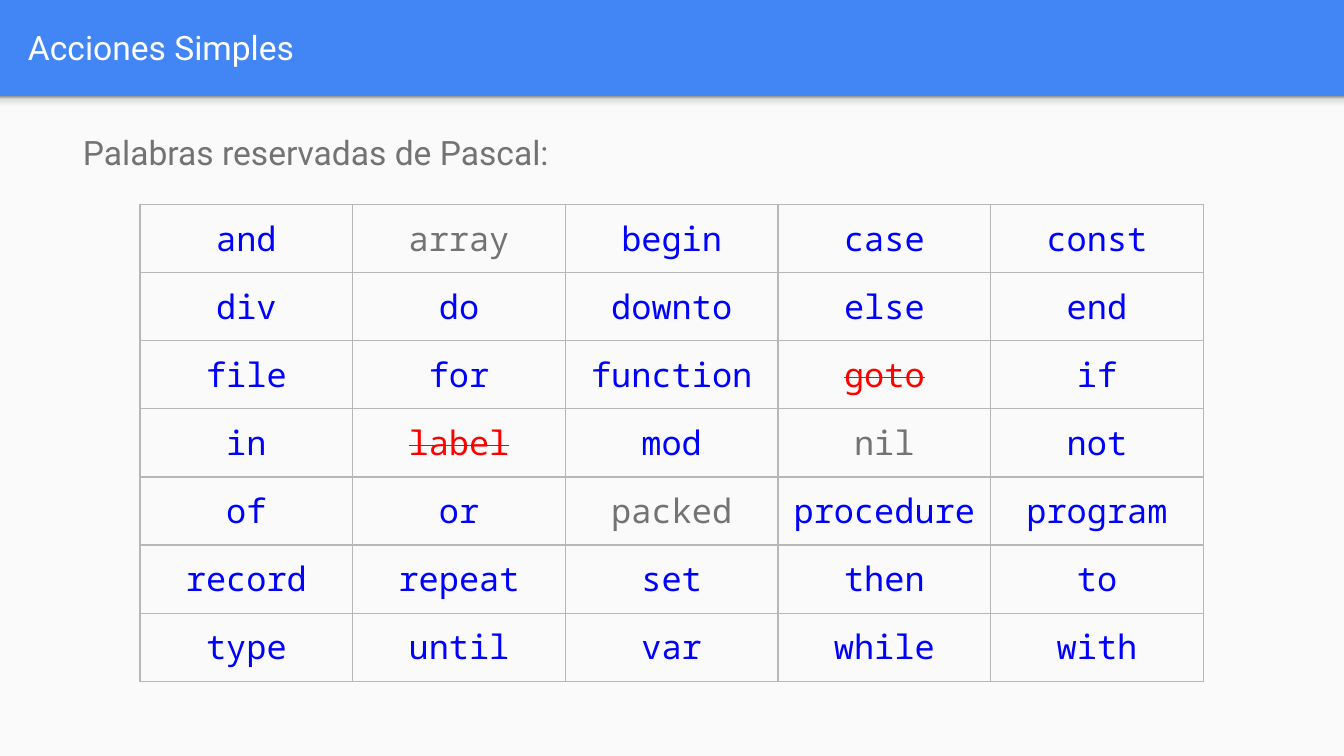
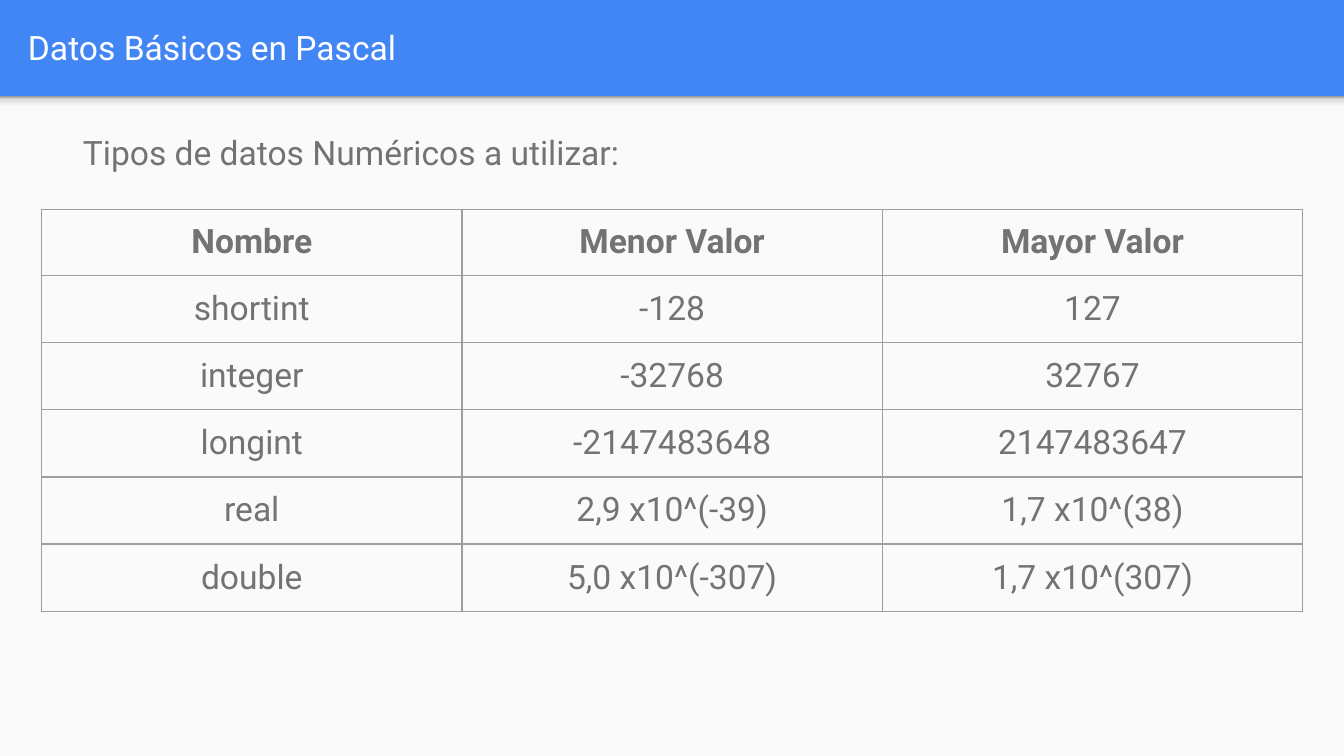
from lxml import etree
from pptx import Presentation
from pptx.dml.color import RGBColor
from pptx.enum.shapes import MSO_SHAPE
from pptx.enum.text import MSO_ANCHOR, PP_ALIGN
from pptx.oxml.ns import qn
from pptx.util import Pt

RECTANGLE = MSO_SHAPE.RECTANGLE
TOP, MIDDLE = MSO_ANCHOR.TOP, MSO_ANCHOR.MIDDLE
CENTER = PP_ALIGN.CENTER

COLORS = {
    "band": "4285F4",
    "paper": "FAFAFA",
    "title": "FFFFFF",
    "text": "737373",
    "keyword": "0000FF",
    "forbidden": "FF0000",
    "keyword_grid": "B7B7B7",
    "type_grid": "9E9E9E",
}
SHADOW_STOPS = [(0, "F9F9F9"), (36, "F9F9F9"), (80, "DEDEDE"), (100, "999999")]

SLIDE_WIDTH, SLIDE_HEIGHT = 720, 405
BAND_HEIGHT = 51.6
SHADOW_HEIGHT = 8.6
INSET = 7.2
TEXT_SIZE = 18
SANS, MONO = "Roboto", "Noto Sans Mono"

KEYWORDS = [
    ["and", "array", "begin", "case", "const"],
    ["div", "do", "downto", "else", "end"],
    ["file", "for", "function", "goto", "if"],
    ["in", "label", "mod", "nil", "not"],
    ["of", "or", "packed", "procedure", "program"],
    ["record", "repeat", "set", "then", "to"],
    ["type", "until", "var", "while", "with"],
]
UNUSED = {"array", "nil", "packed"}
FORBIDDEN = {"goto", "label"}

NUMERIC_TYPES = [
    ["Nombre", "Menor Valor", "Mayor Valor"],
    ["shortint", "-128", "127"],
    ["integer", "-32768", "32767"],
    ["longint", "-2147483648", "2147483647"],
    ["real", "2,9 x10^(-39)", "1,7 x10^(38)"],
    ["double", "5,0 x10^(-307)", "1,7 x10^(307)"],
]


def rgb(name):
    return RGBColor.from_string(COLORS[name])


def add_span(para, text, color, font=SANS, bold=False, strike=False):
    span = para.add_run()
    span.text = text
    span.font.name = font
    span.font.size = Pt(TEXT_SIZE)
    span.font.bold = bold
    span.font.color.rgb = rgb(color)
    if strike:
        span._r.get_or_add_rPr().set("strike", "sngStrike")


def add_text(page, text, left, top, width, height, color, anchor=TOP, line_spacing=None):
    box = page.shapes.add_textbox(Pt(left), Pt(top), Pt(width), Pt(height))
    frame = box.text_frame
    frame.word_wrap = True
    frame.vertical_anchor = anchor
    frame.margin_left = frame.margin_right = Pt(INSET)
    frame.margin_top = frame.margin_bottom = Pt(INSET)
    para = frame.paragraphs[0]
    if line_spacing:
        para.line_spacing = line_spacing
    add_span(para, text, color)


def add_plain_rectangle(page, top, height):
    shape = page.shapes.add_shape(RECTANGLE, 0, Pt(top), Pt(SLIDE_WIDTH), Pt(height))
    shape.shadow.inherit = False
    shape.line.fill.background()
    return shape


def fill_with_gradient(shape, stops):
    """Blend the stops from the bottom edge to the top edge."""
    shape.fill.gradient()
    shape.fill.gradient_angle = 90
    stop_list = shape._element.spPr.find(".//" + qn("a:gsLst"))
    for stop in list(stop_list):
        stop_list.remove(stop)
    for percent, color in stops:
        stop = etree.SubElement(stop_list, qn("a:gs"), pos=str(percent * 1000))
        etree.SubElement(stop, qn("a:srgbClr"), val=color)


def add_page(deck, title):
    page = deck.slides.add_slide(deck.slide_layouts[6])
    page.background.fill.solid()
    page.background.fill.fore_color.rgb = rgb("band")
    paper = add_plain_rectangle(page, BAND_HEIGHT, SLIDE_HEIGHT - BAND_HEIGHT)
    paper.fill.solid()
    paper.fill.fore_color.rgb = rgb("paper")
    fill_with_gradient(add_plain_rectangle(page, BAND_HEIGHT, SHADOW_HEIGHT), SHADOW_STOPS)
    add_text(page, title, 7.9, 1.6, 694.8, 47.3, "title", anchor=MIDDLE)
    return page


def add_intro(page, text, height):
    add_text(page, text, 37.3, 60.3, 647.3, height, "text", line_spacing=1.15)


def draw_borders(cell, color):
    properties = cell._tc.get_or_add_tcPr()
    for position, side in enumerate(("a:lnL", "a:lnR", "a:lnT", "a:lnB")):
        line = etree.Element(qn(side), w=str(Pt(0.75)))
        fill = etree.SubElement(line, qn("a:solidFill"))
        etree.SubElement(fill, qn("a:srgbClr"), val=COLORS[color])
        properties.insert(position, line)


def add_grid(page, rows, left, top, column_width, row_heights, insets, grid_color, style):
    """Draw a table; insets are (side and top, bottom), style(row index, text) gives span options."""
    frame = page.shapes.add_table(
        len(rows), len(rows[0]), Pt(left), Pt(top),
        Pt(column_width * len(rows[0])), Pt(sum(row_heights)))
    table = frame.table
    table.first_row = False
    table.horz_banding = False
    inset, bottom_inset = insets
    for column in table.columns:
        column.width = Pt(column_width)
    for row_index, texts in enumerate(rows):
        table.rows[row_index].height = Pt(row_heights[row_index])
        for column_index, text in enumerate(texts):
            cell = table.cell(row_index, column_index)
            cell.fill.background()
            cell.vertical_anchor = MIDDLE
            cell.margin_left = cell.margin_right = cell.margin_top = Pt(inset)
            cell.margin_bottom = Pt(bottom_inset)
            draw_borders(cell, grid_color)
            para = cell.text_frame.paragraphs[0]
            para.alignment = CENTER
            add_span(para, text, **style(row_index, text))


def keyword_style(row_index, word):
    if word in FORBIDDEN:
        return {"color": "forbidden", "font": MONO, "strike": True}
    return {"color": "text" if word in UNUSED else "keyword", "font": MONO}


def type_style(row_index, text):
    return {"color": "text", "bold": row_index == 0}


def add_keywords_page(deck):
    page = add_page(deck, "Acciones Simples")
    add_intro(page, "Palabras reservadas de Pascal:", 334.8)
    add_grid(page, KEYWORDS, 75, 109.6, 113.95, [36.5] * len(KEYWORDS), (5.76, 9),
             "keyword_grid", keyword_style)


def add_types_page(deck):
    page = add_page(deck, "Datos Básicos en Pascal")
    heights = [35.4] + [35.95] * (len(NUMERIC_TYPES) - 1)
    add_grid(page, NUMERIC_TYPES, 22.3, 112.1, 225.2, heights, (7, 7),
             "type_grid", type_style)
    add_intro(page, "Tipos de datos Numéricos a utilizar:", 41.8)


def main():
    deck = Presentation()
    deck.slide_width = Pt(SLIDE_WIDTH)
    deck.slide_height = Pt(SLIDE_HEIGHT)
    add_keywords_page(deck)
    add_types_page(deck)
    deck.save("out.pptx")


if __name__ == "__main__":
    main()
